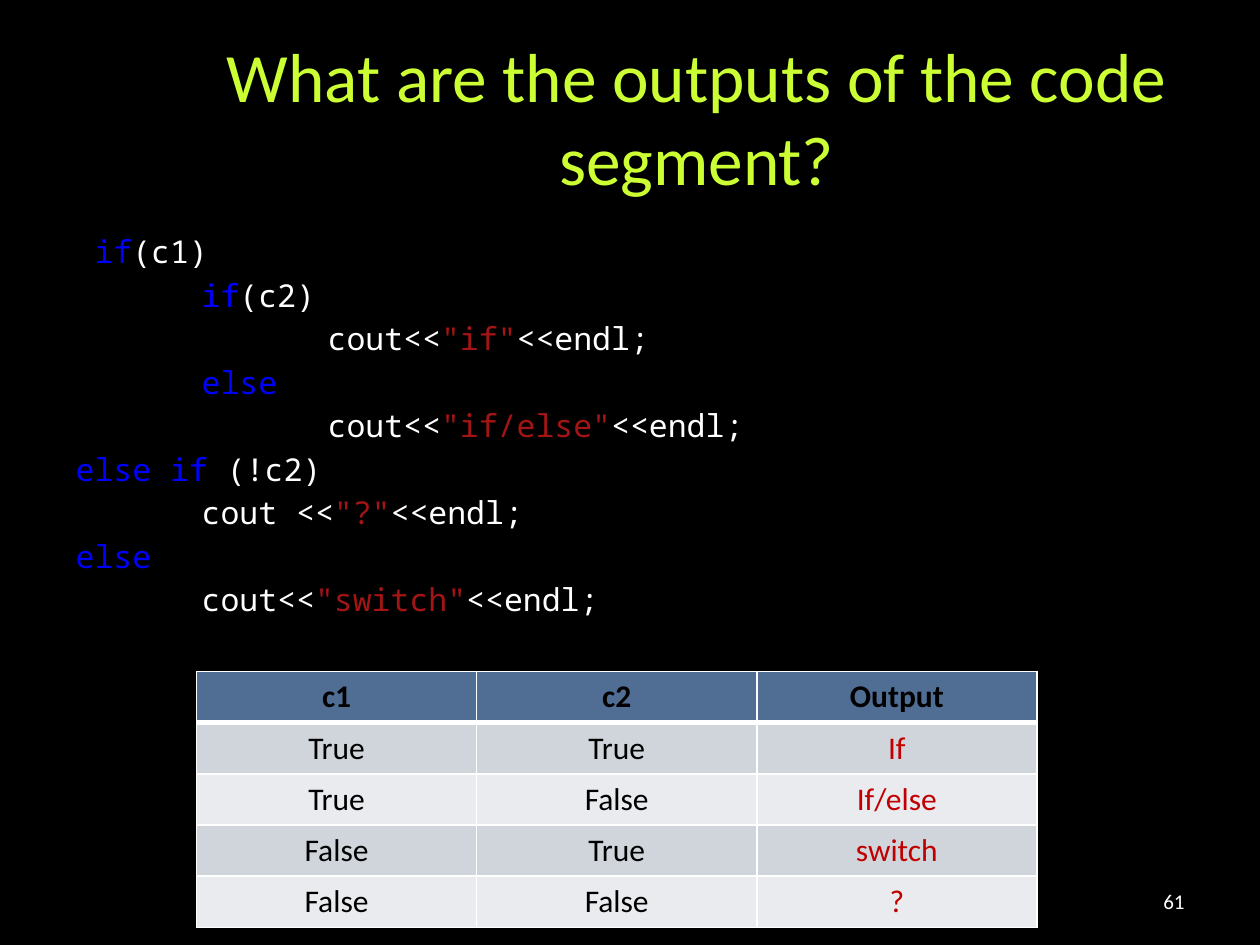
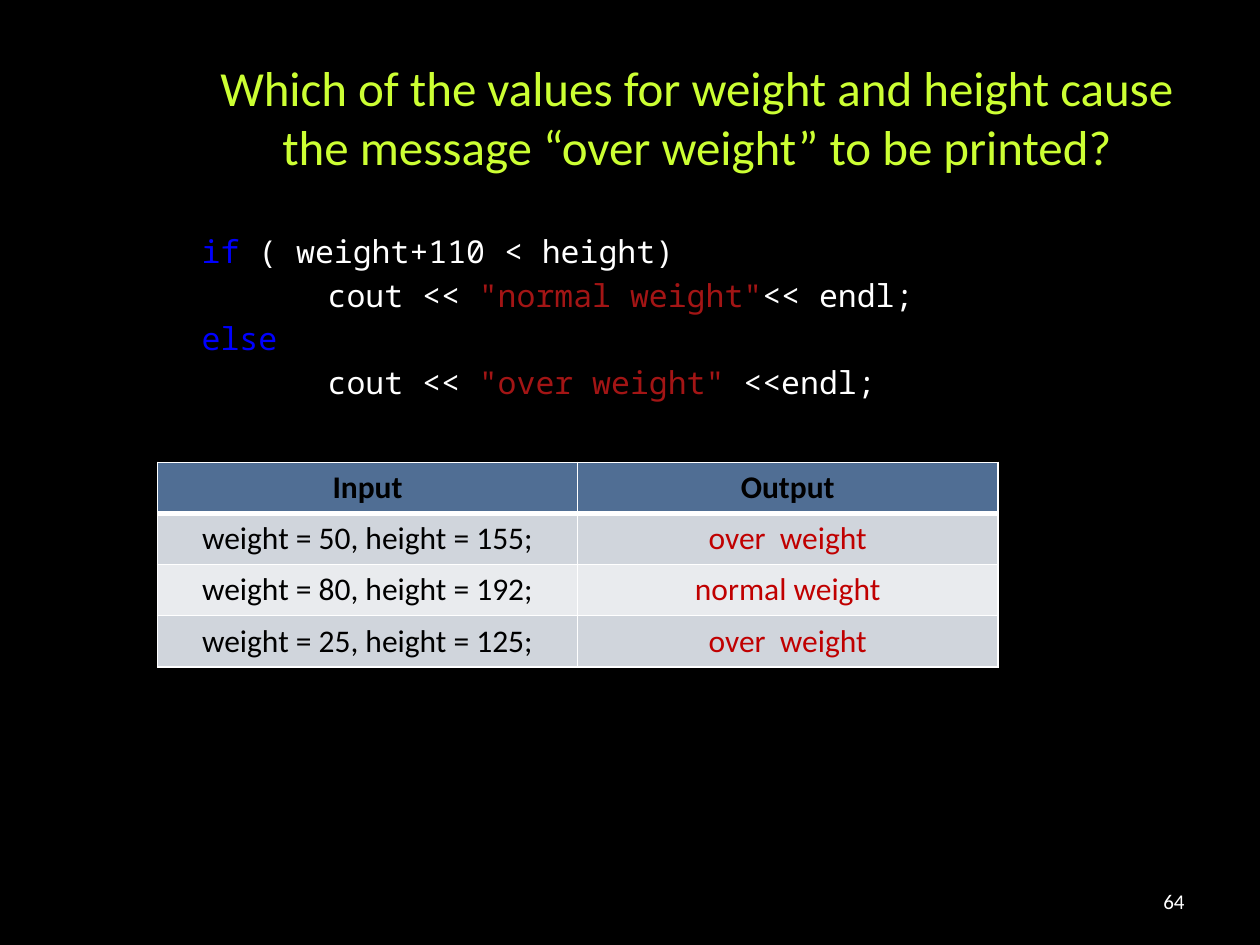
import pptx
import pptx.util
import pptx.dml.color
import pptx.enum.text
import pptx.oxml.ns
from lxml import etree

Inches, Pt = pptx.util.Inches, pptx.util.Pt
ALIGN = pptx.enum.text.PP_ALIGN
ANCHOR = pptx.enum.text.MSO_ANCHOR

COLORS = {
    "back": "000000", "title": "CCFF33", "plain": "FFFFFF",
    "keyword": "0000FF", "string": "A31515",
    "header": "506E94", "odd": "D0D5DC", "even": "E9EBEE",
    "border": "FFFFFF", "cell": "000000", "answer": "C00000",
}
TEXT_FONT, CODE_FONT = "Calibri", "Noto Sans Mono"
TAB = 1.0      # inches per code level
SPACE = 0.15   # width of one code character

# Content: each code line is (indent in inches, [(text, colour), ...])
SLIDES = [
    {
        "title": "What are the outputs of the code segment?",
        "title_size": 39.6,
        "number": "61",
        "code_height": 3.33,
        "code": [
            (SPACE, [("if", "keyword"), ("(c1)", "plain")]),
            (TAB, [("if", "keyword"), ("(c2)", "plain")]),
            (2 * TAB, [("cout<<", "plain"), ('"if"', "string"), ("<<endl;", "plain")]),
            (TAB, [("else", "keyword")]),
            (2 * TAB, [("cout<<", "plain"), ('"if/else"', "string"), ("<<endl;", "plain")]),
            (0, [("else if", "keyword"), (" (!c2)", "plain")]),
            (TAB, [("cout <<", "plain"), ('"?"', "string"), ("<<endl;", "plain")]),
            (0, [("else", "keyword")]),
            (TAB, [("cout<<", "plain"), ('"switch"', "string"), ("<<endl;", "plain")]),
        ],
        "table_box": (1.56, 5.33, 6.67, 2.03),
        "table": [
            ("c1", "c2", "Output"),
            ("True", "True", "If"),
            ("True", "False", "If/else"),
            ("False", "True", "switch"),
            ("False", "False", "?"),
        ],
    },
    {
        "title": "Which of the values for weight and height cause "
                 "the message “over weight” to be printed?",
        "title_size": 28,
        "number": "64",
        "code_height": 5.25,
        "code": [
            (TAB, [("if", "keyword"), (" ( weight+110 < height)", "plain")]),
            (2 * TAB, [("cout << ", "plain"), ('"normal weight"', "string"),
                       ("<< endl;", "plain")]),
            (TAB, [("else", "keyword")]),
            (2 * TAB, [("cout << ", "plain"), ('"over weight"', "string"),
                       (" <<endl;", "plain")]),
        ],
        "table_box": (1.25, 3.67, 6.67, 1.62),
        "table": [
            ("Input", "Output"),
            ("weight = 50, height = 155;", "over  weight"),
            ("weight = 80, height = 192;", "normal weight"),
            ("weight = 25, height = 125;", "over  weight"),
        ],
    },
]


def rgb(name):
    return pptx.dml.color.RGBColor.from_string(COLORS[name])


def add_run(p, text, size, color, font=TEXT_FONT, bold=False):
    r = p.add_run()
    r.text = text
    r.font.name, r.font.size, r.font.bold = font, Pt(size), bold
    r.font.color.rgb = rgb(color)


def place(sp, left, top, width, height):
    sp.left, sp.top = Inches(left), Inches(top)
    sp.width, sp.height = Inches(width), Inches(height)
    tf = sp.text_frame
    tf.word_wrap = True
    tf.auto_size = pptx.enum.text.MSO_AUTO_SIZE.NONE
    return tf


def add_title(s, text, size):
    tf = place(s.shapes.title, 1.56, 0.3, 7.94, 1.25)
    tf.vertical_anchor = ANCHOR.MIDDLE
    p = tf.paragraphs[0]
    p.alignment = ALIGN.CENTER
    add_run(p, text, size, "title")


def add_code(s, lines, height):
    tf = place(s.placeholders[1], 0.5, 1.75, 9, height)
    for i, (indent, tokens) in enumerate(lines):
        p = tf.paragraphs[0] if i == 0 else tf.add_paragraph()
        p.line_spacing = 1.15
        p.space_before = p.space_after = Pt(0)
        pPr = p._p.get_or_add_pPr()
        pPr.set("marL", str(Inches(indent)))
        pPr.set("indent", "0")
        etree.SubElement(pPr, pptx.oxml.ns.qn("a:buNone"))
        for text, color in tokens:
            add_run(p, text, 18, color, CODE_FONT)


def add_number(s, number):
    tf = place(s.shapes.add_textbox(0, 0, 0, 0), 7.17, 6.95, 2.33, 0.4)
    tf.vertical_anchor = ANCHOR.MIDDLE
    p = tf.paragraphs[0]
    p.alignment = ALIGN.RIGHT
    add_run(p, number, 12, "plain")


def set_borders(cell, top, bottom):
    """Draw the four cell edges, widths in points."""
    tcPr = cell._tc.get_or_add_tcPr()
    edges = (("lnL", 1), ("lnR", 1), ("lnT", top), ("lnB", bottom))
    for i, (tag, width) in enumerate(edges):
        ln = etree.Element(pptx.oxml.ns.qn("a:" + tag), w=str(Pt(width)))
        fill = etree.SubElement(ln, pptx.oxml.ns.qn("a:solidFill"))
        etree.SubElement(fill, pptx.oxml.ns.qn("a:srgbClr"), val=COLORS["border"])
        tcPr.insert(i, ln)


def add_truth_table(s, rows, box):
    cols = len(rows[0])
    table = s.shapes.add_table(len(rows), cols, *map(Inches, box)).table
    table.horz_banding = False
    for i, row in enumerate(rows):
        header = i == 0
        band = "header" if header else "odd" if i % 2 else "even"
        for j, text in enumerate(row):
            cell = table.cell(i, j)
            cell.fill.solid()
            cell.fill.fore_color.rgb = rgb(band)
            set_borders(cell, 3 if i == 1 else 1, 3 if header else 1)
            p = cell.text_frame.paragraphs[0]
            p.alignment = ALIGN.CENTER
            answer = j == cols - 1 and not header
            add_run(p, text, 18, "answer" if answer else "cell", bold=header)


def main():
    prs = pptx.Presentation()
    prs.slide_width, prs.slide_height = Inches(10), Inches(7.5)
    back = prs.slide_master.background.fill
    back.solid()
    back.fore_color.rgb = rgb("back")

    for content in SLIDES:
        s = prs.slides.add_slide(prs.slide_layouts[1])
        add_title(s, content["title"], content["title_size"])
        add_code(s, content["code"], content["code_height"])
        add_number(s, content["number"])
        add_truth_table(s, content["table"], content["table_box"])

    prs.save("out.pptx")


if __name__ == "__main__":
    main()
